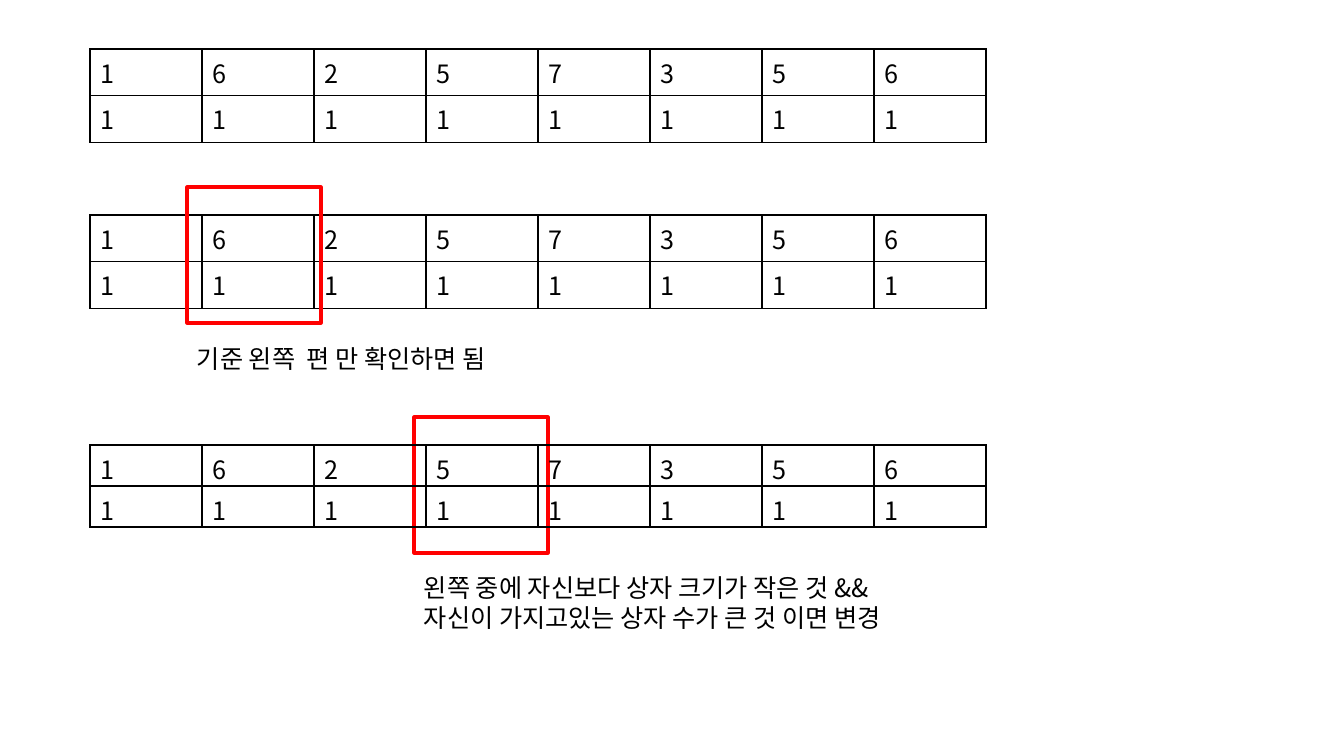
from lxml import etree
from pptx import Presentation
from pptx import util as u
from pptx.dml.color import RGBColor
from pptx.enum import shapes, text
from pptx.oxml import ns

PX = 914400 / 100.8
FONT = "Noto Sans CJK KR"
COLORS = {"ink": "000000", "marker": "FF0000"}
BOX_SIZES = [1, 6, 2, 5, 7, 3, 5, 6]
BOX_COUNTS = [1] * 8
COLUMN, ROW, LEFT = 112, 41, 90


def px(*lengths):
    return [u.Emu(round(n * PX)) for n in lengths]


def write(frame, lines, size=18, color="ink", spacing=None):
    for i, line in enumerate(lines):
        paragraph = frame.paragraphs[0] if i == 0 else frame.add_paragraph()
        paragraph.line_spacing = spacing
        run = paragraph.add_run()
        run.text = line
        run.font.size = u.Pt(size)
        run.font.name = FONT
        run.font.color.rgb = RGBColor.from_string(COLORS[color])
        etree.SubElement(run.font._element, ns.qn("a:ea"), typeface=FONT)


prs = Presentation()
prs.slide_width, prs.slide_height = px(1344, 756)
slide = prs.slides.add_slide(prs.slide_layouts[6])


# Steps: table top, marked column left and top, note top, width, height and lines.
# The last table has compact rows.
steps = [
    (49, None, None, False),
    (215, (187, 187), (338, 355, 40, ["기준 왼쪽  편 만 확인하면 됨"]), False),
    (445, (414, 417), (567, 541, 71, ["왼쪽 중에 자신보다 상자 크기가 작은 것 &&",
                                      "자신이 가지고있는 상자 수가 큰 것 이면 변경"]), True),
]

for table_top, marker_at, note, compact in steps:
    # Red marker and its note, behind the compact table
    def_order = ["marker", "table"] if compact else ["table", "marker"]
    for part in def_order:
        if part == "marker" and marker_at:
            marker = slide.shapes.add_shape(
                shapes.MSO_SHAPE.RECTANGLE, *px(*marker_at, 134, 136))
            marker.shadow.inherit = False
            marker.fill.background()
            marker.line.color.rgb = RGBColor.from_string(COLORS["marker"])
            marker.line.width = u.Pt(2.25)

            note_top, note_width, note_height, note_lines = note
            caption = slide.shapes.add_textbox(
                *px(marker_at[0], note_top, note_width, note_height)).text_frame
            caption.word_wrap = False
            caption.auto_size = text.MSO_AUTO_SIZE.SHAPE_TO_FIT_TEXT
            write(caption, note_lines, spacing=u.Pt(21.7))

        # Box sizes above box counts
        if part == "table":
            grid = slide.shapes.add_table(
                2, 8, *px(LEFT, table_top, 8 * COLUMN, 2 * ROW)).table
            grid.first_row = grid.horz_banding = False
            for column in grid.columns:
                column.width = px(COLUMN)[0]
            for row, values in zip(grid.rows, (BOX_SIZES, BOX_COUNTS)):
                row.height = px(ROW)[0]
                for cell, value in zip(row.cells, values):
                    write(cell.text_frame, [str(value)])
                    if compact:
                        cell.margin_bottom = 0
                    borders = cell._tc.get_or_add_tcPr()
                    for side in "LRTB":
                        border = etree.SubElement(borders, ns.qn("a:ln" + side), w="12700")
                        paint = etree.SubElement(border, ns.qn("a:solidFill"))
                        etree.SubElement(paint, ns.qn("a:srgbClr"), val=COLORS["ink"])
                    cell.fill.background()

prs.save("out.pptx")
